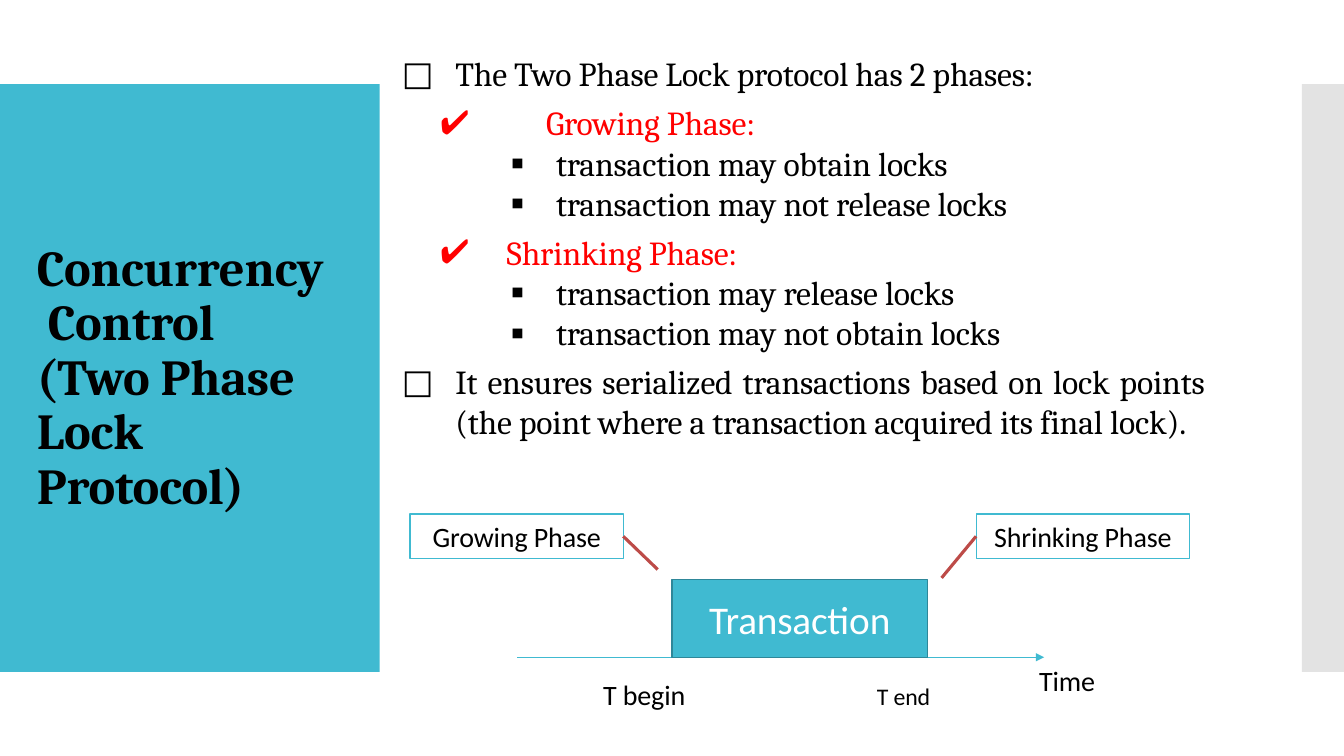
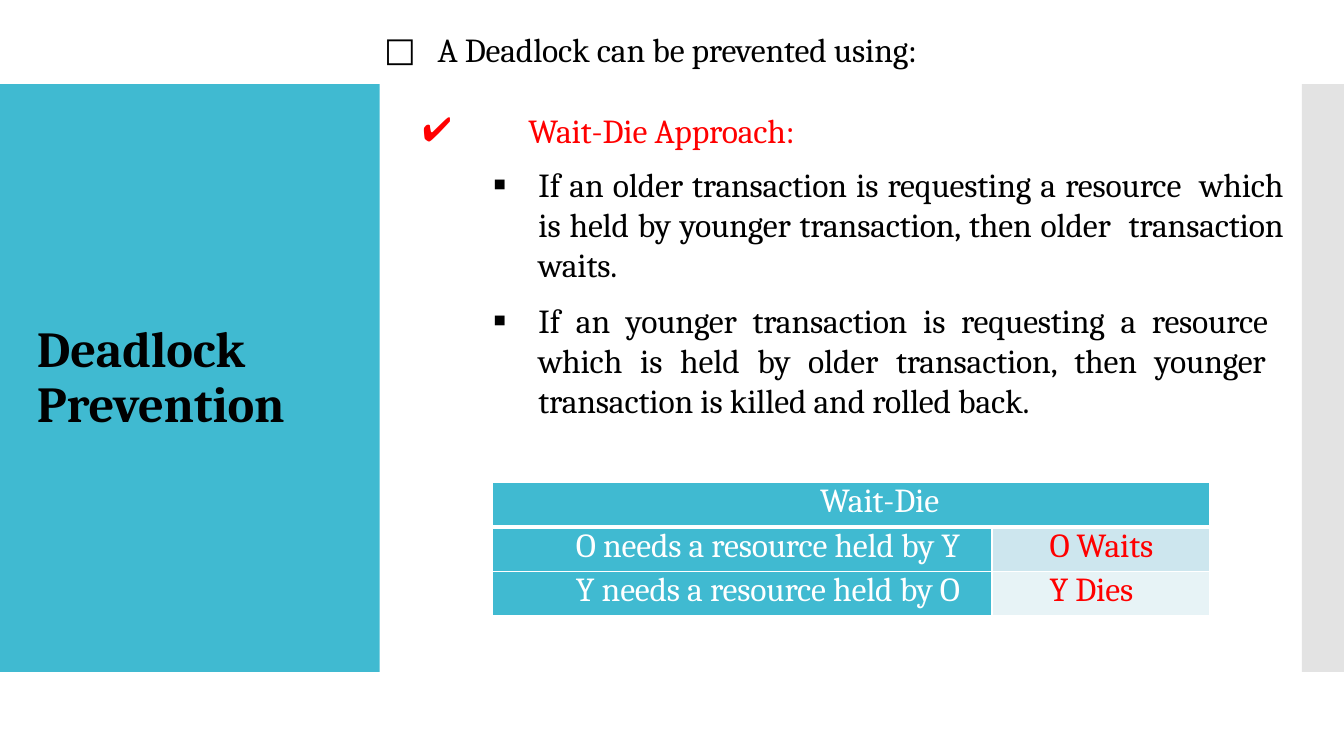
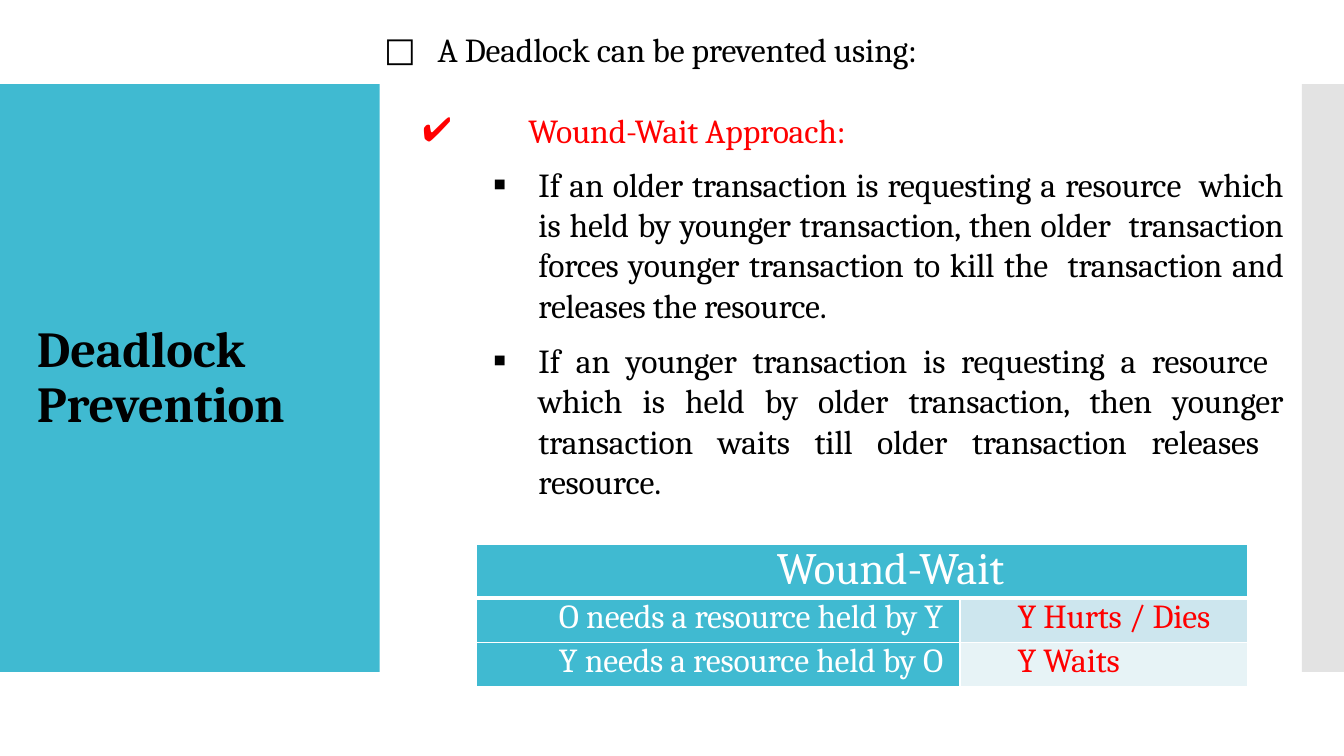
from dataclasses import dataclass

from lxml.etree import SubElement
from pptx import Presentation
from pptx.dml.color import RGBColor
from pptx.enum.shapes import MSO_CONNECTOR, MSO_SHAPE
from pptx.enum.text import MSO_ANCHOR as Anchor, PP_ALIGN as Align
from pptx.oxml.ns import qn
from pptx.util import Inches, Pt


@dataclass(frozen=True)
class Theme:
    teal: str = "40BAD1"
    teal_dark: str = "2E8799"
    gray: str = "E3E3E3"
    black: str = "000000"
    white: str = "FFFFFF"
    red: str = "FF0000"
    brick: str = "BD4B48"
    tint: str = "CDE6EE"
    tint_light: str = "E7F3F6"
    serif: str = "Cambria"
    sans: str = "Calibri"
    symbol: str = "Cabin"
    title: int = 36
    header: int = 32
    block: int = 28
    body: int = 24
    label: int = 20
    small: int = 17
    thin: float = 0.85
    thick: float = 2.25


T = Theme()

# Slide size and a grid of 160 columns by 90 rows
prs = Presentation()
prs.slide_width, prs.slide_height = Inches(13.33), Inches(7.5)
COL, ROW = prs.slide_width / 160, prs.slide_height / 90

# Text styles: font, size, colour, paragraph format, bullet
SERIF = dict(font=T.serif, size=T.body, color=T.black)
SANS = dict(font=T.sans, size=T.label, color=T.black)
CENTER = dict(alignment=Align.CENTER)
CELL = dict(line_spacing=Pt(27.9))
STYLES = {
    "title": {**SERIF, "size": T.title, "bold": True, "para": dict(line_spacing=Pt(38.9))},
    "point": {**SERIF, "bullet": ("□", T.symbol), "left": 0.55, "hang": 0.53,
              "para": dict(alignment=Align.JUSTIFY)},
    "phase": {**SERIF, "color": T.red, "bullet": ("✔", T.symbol), "left": 1.45, "hang": 1.05},
    "detail": {**SERIF, "bullet": ("▪", T.serif), "left": 1.55, "hang": 0.45,
               "para": dict(alignment=Align.JUSTIFY)},
    "label": SANS,
    "small": {**SANS, "size": T.small},
    "callout": {**SANS, "para": CENTER},
    "block": {**SANS, "size": T.block, "color": T.white, "para": CENTER},
    "header": {**SERIF, "color": T.white, "left": 0.57, "para": {**CELL, **CENTER}},
    "case": {**SERIF, "color": T.white, "para": {**CELL, "alignment": Align.RIGHT}},
    "outcome": {**SERIF, "color": T.red, "left": 0.57, "para": CELL},
}


def write(frame, lines):
    """Fill a text frame with (style, text, changes) lines."""
    for index, (style, text, changes) in enumerate(lines):
        look = {**STYLES[style], **changes}
        para = frame.add_paragraph() if index else frame.paragraphs[0]
        para.text = text
        form = {"space_before": Pt(look.get("before", 0)), **look.get("para", {})}
        for key, value in form.items():
            setattr(para, key, value)
        props = para._p.get_or_add_pPr()
        props.set("marL", str(Inches(look.get("left", 0))))
        props.set("indent", str(-Inches(look.get("hang", 0))))
        if "bullet" in look:
            mark, face = look["bullet"]
            SubElement(props, qn("a:buFont"), typeface=face)
            SubElement(props, qn("a:buChar"), char=mark)
        for run in para.runs:
            fonts = dict(name=look["font"], size=Pt(look["size"]), bold=look.get("bold", False))
            for key, value in fonts.items():
                setattr(run.font, key, value)
            run.font.color.rgb = RGBColor.from_string(look["color"])
            run._r.get_or_add_rPr().set("spc", "-10")


def place(slide, at, lines=(), fill=None, line=None, anchor=Anchor.TOP):
    """Put a text box, or a rectangle if it has a fill or line, on the grid."""
    left, top, width, height = at
    box = [int(left * COL), int(top * ROW), int(width * COL), int(height * ROW)]
    if fill or line:
        item = slide.shapes.add_shape(MSO_SHAPE.RECTANGLE, *box)
        item.shadow.inherit = False
        for part, color in ((item.fill, fill), (item.line.fill, line)):
            if color:
                part.solid()
                part.fore_color.rgb = RGBColor.from_string(color)
            else:
                part.background()
        if line:
            item.line.width = Pt(T.thin)
    else:
        item = slide.shapes.add_textbox(*box)
    frame = dict(word_wrap=True, vertical_anchor=anchor, margin_left=0,
                 margin_right=0, margin_top=0, margin_bottom=0)
    for key, value in frame.items():
        setattr(item.text_frame, key, value)
    write(item.text_frame, lines)
    return item


# Content of the three slides
OLDER = "If an older transaction is requesting a resource  which is held by younger transaction, then older  transaction "
YOUNGER = "If an younger transaction is requesting a resource  which is held by older transaction, then younger"
NEEDS = ("O needs a resource held by Y", "Y needs a resource held by O")

topics = [
    dict(title="Concurrency  Control  (Two Phase  Lock  Protocol)", at=(47.6, 6.36, 97, 47),
         body=[
             ("point", "The Two Phase Lock protocol has 2 phases:", {}),
             ("phase", "Growing Phase:", {"before": 6}),
             ("detail", "transaction may obtain locks", {}),
             ("detail", "transaction may not release locks", {}),
             ("phase", "Shrinking Phase:", {"before": 6, "left": 1.06, "hang": 0.66}),
             ("detail", "transaction may release locks", {}),
             ("detail", "transaction may not obtain locks", {}),
             ("point", "It ensures serialized transactions based on lock points  "
                       "(the point where a transaction acquired its final lock).", {"before": 6}),
         ]),
]
for scheme, older_end, younger_end, table in (
    ("Wait-Die", "waits.", "  transaction is killed and rolled back.",
     dict(at=(58.6, 57.4), cols=(59.5, 25.9), head=5.3, size=T.body, gap=0.32,
          outcomes=("O Waits", "Y Dies"))),
    ("Wound-Wait", "forces younger transaction to kill the  transaction and releases the resource.",
     "\vtransaction waits till older transaction releases  resource.",
     dict(at=(56.7, 64.8), cols=(57.6, 34.2), head=6.36, size=T.header, gap=0.17,
          outcomes=("Y Hurts / Dies", "Y Waits"))),
):
    topics.append(dict(
        title="Deadlock  Prevention", at=(45.5, 3.5, 107.3, 47), scheme=scheme, table=table,
        body=[
            ("point", "A Deadlock can be prevented using:", {}),
            ("phase", f"{scheme} Approach:", {"before": 28.5}),
            ("detail", OLDER + older_end, {"before": 9.7}),
            ("detail", YOUNGER + younger_end, {"before": 10.8}),
        ]))

# Panels, title and body of every slide
slides = []
for topic in topics:
    slide = prs.slides.add_slide(prs.slide_layouts[6])
    place(slide, (0, 10, 45.2, 70), fill=T.teal)
    place(slide, (155, 10, 5, 70), fill=T.gray)
    place(slide, (4.4, 10, 35.4, 70), [("title", topic["title"], {})], anchor=Anchor.MIDDLE)
    place(slide, topic["at"], topic["body"])
    slides.append(slide)

# Time line of the two phases
timeline = slides[0]
AXIS = 78.25
links = [((61.6, AXIS), (124.3, AXIS), T.teal, T.thin, None)]
for name, left, side, tip in (("Growing Phase", 48.8, 3, (78.3, 67.8)),
                              ("Shrinking Phase", 116.2, 1, (112.1, 68.8))):
    callout = place(timeline, (left, 61.2, 25.4, 5.3), [("callout", name, {})],
                    line=T.teal, anchor=Anchor.MIDDLE)
    links.append((tip, tip, T.brick, T.thick, (callout, side)))

for start, end, color, weight, joint in links:
    link = timeline.shapes.add_connector(
        MSO_CONNECTOR.STRAIGHT, int(start[0] * COL), int(start[1] * ROW),
        int(end[0] * COL), int(end[1] * ROW))
    link.line.color.rgb = RGBColor.from_string(color)
    link.line.width = Pt(weight)
    if joint:
        link.begin_connect(*joint)
    else:
        SubElement(link.line._get_or_add_ln(), qn("a:tailEnd"), type="triangle")
    SubElement(link._element.spPr, qn("a:effectLst"))

place(timeline, (80, 69, 30.4, AXIS - 69), [("block", "Transaction", {})],
      fill=T.teal, line=T.teal_dark, anchor=Anchor.MIDDLE)
for style, text, left, top in (("label", "T begin", 71.8, 80.7),
                               ("small", "T end", 104.4, 81.2),
                               ("label", "Time", 123.7, 79)):
    place(timeline, (left, top, 12, 4.2), [(style, text, {})])

# Outcome tables of the two schemes
for slide, topic in zip(slides[1:], topics[1:]):
    plan = topic["table"]
    heights = (plan["head"], 5.3, 5.3)
    (left, top), widths = plan["at"], plan["cols"]
    grid = slide.shapes.add_table(
        3, 2, int(left * COL), int(top * ROW),
        int(sum(widths) * COL), int(sum(heights) * ROW)).table
    for column, width in zip(grid.columns, widths):
        column.width = int(width * COL)
    for row, height in zip(grid.rows, heights):
        row.height = int(height * ROW)
    grid.cell(0, 0).merge(grid.cell(0, 1))

    head_line = Pt(37.1 if plan["size"] == T.header else 27.9)
    head_look = {"size": plan["size"], "para": {**CENTER, "line_spacing": head_line}}
    entries = [(("header", topic["scheme"], head_look), None)]
    entries += [(("case", need, {}), ("outcome", outcome, {}))
                for need, outcome in zip(NEEDS, plan["outcomes"])]
    fills = ((T.teal, T.teal), (T.teal, T.tint), (T.teal, T.tint_light))
    for r, entry_row in enumerate(entries):
        for c, entry in enumerate(entry_row):
            cell = grid.cell(r, c)
            gap = plan["gap"] if r and not c else 0
            margins = dict(margin_left=0, margin_right=Inches(gap), margin_top=0, margin_bottom=0)
            for key, value in margins.items():
                setattr(cell, key, value)
            # White edges, heavier under the header
            for edge in ("lnL", "lnR", "lnT", "lnB"):
                heavy = (r, edge) in ((0, "lnB"), (1, "lnT"))
                border = SubElement(cell._tc.get_or_add_tcPr(), qn(f"a:{edge}"),
                                    w=str(Pt(3 if heavy else 1)))
                SubElement(SubElement(border, qn("a:solidFill")), qn("a:srgbClr"), val=T.white)
            cell.fill.solid()
            cell.fill.fore_color.rgb = RGBColor.from_string(fills[r][c])
            if entry:
                write(cell.text_frame, [entry])

prs.save("out.pptx")
